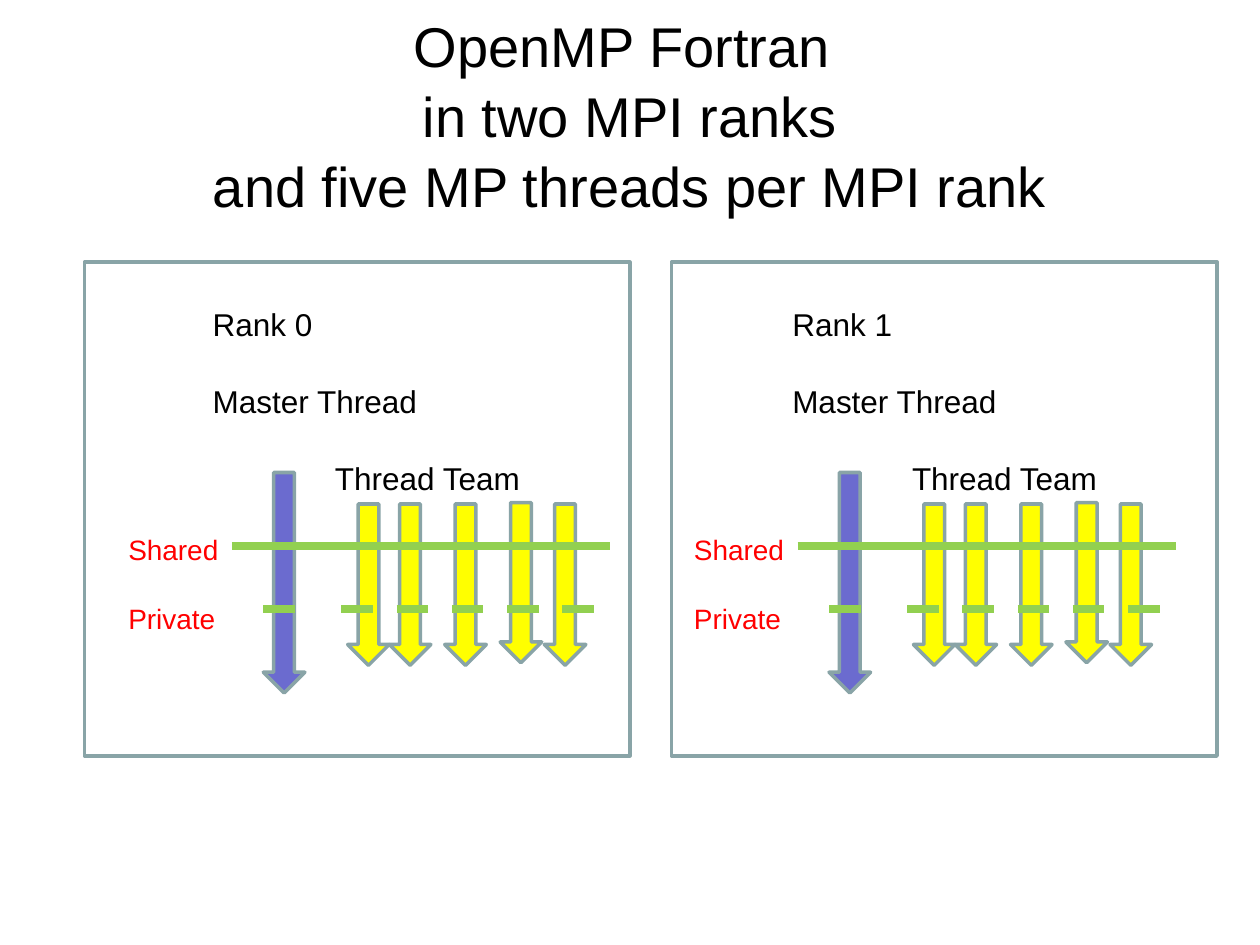
from dataclasses import dataclass

from lxml import etree
from pptx import Presentation
from pptx.dml.color import RGBColor
from pptx.enum.dml import MSO_LINE
from pptx.enum.shapes import MSO_CONNECTOR, MSO_SHAPE
from pptx.enum.text import MSO_ANCHOR, MSO_AUTO_SIZE, PP_ALIGN
from pptx.oxml.ns import qn
from pptx.util import Inches, Pt

ARROW, RECT = MSO_SHAPE.DOWN_ARROW, MSO_SHAPE.RECTANGLE
STRAIGHT, DASH = MSO_CONNECTOR.STRAIGHT, MSO_LINE.DASH
MIDDLE, TOP = MSO_ANCHOR.MIDDLE, MSO_ANCHOR.TOP
CENTER, LEFT = PP_ALIGN.CENTER, PP_ALIGN.LEFT
NO_FIT = MSO_AUTO_SIZE.NONE

COLORS = {
    "text": "000000",
    "scope": "FF0000",
    "master": "6B6BCF",
    "team": "FFFF00",
    "edge": "89A4A7",
    "data": "92D050",
}
FONT = "Arial"
SHARED_Y, PRIVATE_Y = 4.33, 4.83


@dataclass
class Rank:
    frame: float
    left: float  # left edge of the thread diagram


@dataclass
class Thread:
    dx: float
    top: float
    height: float
    fill: str


@dataclass
class Row:
    text: str
    tabs: tuple[float, ...] = ()


@dataclass
class Style:
    size: float
    color: str
    gap: float = 0
    align: PP_ALIGN = LEFT
    anchor: MSO_ANCHOR = TOP


RANKS = [Rank(0.67, 0.92), Rank(5.33, 5.41)]
THREADS = [
    Thread(1.17, 3.75, 1.75, "master"),
    Thread(1.84, 4, 1.28, "team"),
    Thread(2.17, 4, 1.28, "team"),
    Thread(2.61, 4, 1.28, "team"),
    Thread(3.05, 3.99, 1.27, "team"),
    Thread(3.4, 4, 1.28, "team"),
]
TITLE = [Row("OpenMP Fortran \vin two MPI ranks\vand five MP threads per MPI rank")]
SCOPES = [Row("Shared"), Row("Private")]
LABELS = [
    Row("Rank 0\tRank 1", (4.6,)),
    Row("Master Thread\tMaster Thread", (4.6,)),
    Row("\tThread Team\tThread Team", (0.97, 5.55)),
]


def rgb(name: str) -> RGBColor:
    return RGBColor.from_string(COLORS[name])


def apply(target, values: dict) -> None:
    for name, value in values.items():
        setattr(target, name, value)


def add_tabs(para, stops: tuple[float, ...]) -> None:
    tabs = etree.SubElement(para._p.get_or_add_pPr(), qn("a:tabLst"))
    for stop in stops:
        etree.SubElement(tabs, qn("a:tab"), pos=str(Inches(stop)), algn="l")


def write(frame, rows: list[Row], style: Style) -> None:
    apply(frame, {"word_wrap": True, "auto_size": NO_FIT, "vertical_anchor": style.anchor})
    for i, row in enumerate(rows):
        para = frame.add_paragraph() if i else frame.paragraphs[0]
        if row.tabs:
            add_tabs(para, row.tabs)
        para.text = row.text
        apply(para, {"alignment": style.align, "line_spacing": 1.04,
                     "space_before": Pt(style.gap if i else 0)})
        for run in para.runs:
            apply(run.font, {"name": FONT, "size": Pt(style.size)})
            run.font.color.rgb = rgb(style.color)


def add_text(slide, box: tuple[float, ...], rows: list[Row], style: Style) -> None:
    write(slide.shapes.add_textbox(*map(Inches, box)).text_frame, rows, style)


def add_block(slide, kind: MSO_SHAPE, box: tuple[float, ...], fill: str = "") -> None:
    """Draw an outlined shape, hollow unless a fill is named."""
    shape = slide.shapes.add_shape(kind, *map(Inches, box))
    shape.shadow.inherit = False
    if fill:
        shape.fill.solid()
        shape.fill.fore_color.rgb = rgb(fill)
    else:
        shape.fill.background()
    shape.line.color.rgb = rgb("edge")
    shape.line.width = Pt(2)


def add_bar(slide, left: float, right: float, y: float, dash: MSO_LINE | None = None) -> None:
    """Draw a level line that marks data across threads."""
    bar = slide.shapes.add_connector(STRAIGHT, *map(Inches, (left, y, right, y)))
    etree.SubElement(bar._element.spPr, qn("a:effectLst"))
    bar.line.color.rgb = rgb("data")
    apply(bar.line, {"width": Pt(4.5), "dash_style": dash})


def add_rank(slide, rank: Rank) -> None:
    x = rank.left
    for thread in THREADS:
        add_block(slide, ARROW, (x + thread.dx, thread.top, 0.33, thread.height), thread.fill)
    add_bar(slide, x + 0.92, x + 3.92, SHARED_Y)
    add_bar(slide, x + 1.79, x + 3.88, PRIVATE_Y, DASH)
    add_text(slide, (x, 4.17, 1.17, 0.9), SCOPES, Style(16, "scope", 19.5))
    add_bar(slide, x + 1.17, x + 1.5, PRIVATE_Y, DASH)


def main() -> None:
    deck = Presentation()
    apply(deck, {"slide_width": Inches(10), "slide_height": Inches(7.5)})
    slide = deck.slides.add_slide(deck.slide_layouts[5])
    title = slide.shapes.title
    apply(title, {"left": Inches(0.5), "top": Inches(0.28),
                  "width": Inches(9), "height": Inches(1.25)})
    write(title.text_frame, TITLE, Style(32, "text", align=CENTER, anchor=MIDDLE))
    for rank in reversed(RANKS):
        add_rank(slide, rank)
    add_text(slide, (1.59, 2.36, 7.3, 1.6), LABELS, Style(18, "text", 21.5))
    for rank in RANKS:
        add_block(slide, RECT, (rank.frame, 2.08, 4.33, 3.92))
    deck.save("out.pptx")


if __name__ == "__main__":
    main()
